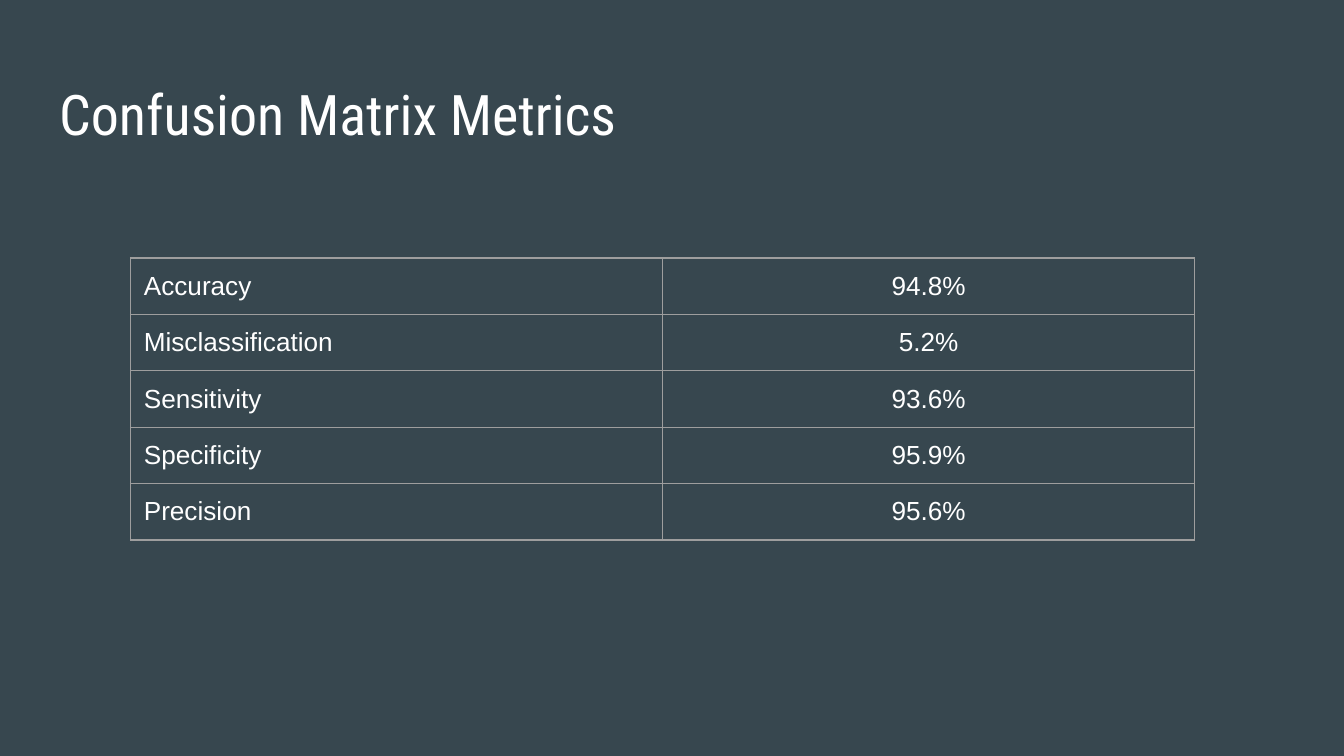
"""Build the confusion matrix metrics slide."""
from pptx import Presentation, util as u
from pptx.dml.color import RGBColor
from pptx.enum import text
from pptx.oxml import parse_xml
from pptx.oxml.ns import nsdecls

SLATE = RGBColor(0x37, 0x47, 0x4F)
WHITE = RGBColor(0xFF, 0xFF, 0xFF)
GREY = RGBColor(0x9E, 0x9E, 0x9E)
INSET = u.Inches(0.1)
COL, ROW = u.Inches(3.96), u.Inches(0.42)
METRICS = [
    ("Accuracy", "94.8%"),
    ("Misclassification", "5.2%"),
    ("Sensitivity", "93.6%"),
    ("Specificity", "95.9%"),
    ("Precision", "95.6%"),
]


def write(tf, words, size, font="Arial", align=text.PP_ALIGN.LEFT):
    p = tf.paragraphs[0]
    p.alignment = align
    r = p.add_run()
    r.text = words
    r.font.size = u.Pt(size)
    r.font.name = font
    r.font.color.rgb = WHITE


def set_borders(cell):
    props = cell._tc.get_or_add_tcPr()
    for i, side in enumerate(("lnL", "lnR", "lnT", "lnB")):
        props.insert(i, parse_xml(
            f'<a:{side} {nsdecls("a")} w="{u.Pt(0.75)}"><a:solidFill>'
            f'<a:srgbClr val="{GREY}"/></a:solidFill></a:{side}>'))


prs = Presentation()
prs.slide_width = u.Inches(10)
prs.slide_height = prs.slide_width * 9 // 16
s = prs.slides.add_slide(prs.slide_layouts[5])
s.background.fill.solid()
s.background.fill.fore_color.rgb = SLATE

title = s.shapes.title
title.left, title.top = u.Inches(0.34), u.Inches(0.49)
title.width, title.height = u.Inches(9.32), u.Inches(0.63)
tf = title.text_frame
tf.margin_left = tf.margin_right = tf.margin_top = tf.margin_bottom = INSET
tf.vertical_anchor = text.MSO_ANCHOR.TOP
tf.auto_size = text.MSO_AUTO_SIZE.NONE
write(tf, "Confusion Matrix Metrics", 30, font="Roboto Condensed")

table = s.shapes.add_table(len(METRICS), 2, u.Inches(0.97), u.Inches(1.92),
                           2 * COL, len(METRICS) * ROW).table
table.first_row = table.horz_banding = False
for column in table.columns:
    column.width = COL
for i, metric in enumerate(METRICS):
    table.rows[i].height = ROW
    for j, words in enumerate(metric):
        cell = table.cell(i, j)
        cell.margin_left = cell.margin_right = INSET
        cell.margin_top = cell.margin_bottom = INSET
        cell.fill.background()
        set_borders(cell)
        write(cell.text_frame, words, 14,
              align=text.PP_ALIGN.CENTER if j else text.PP_ALIGN.LEFT)

prs.save("out.pptx")
